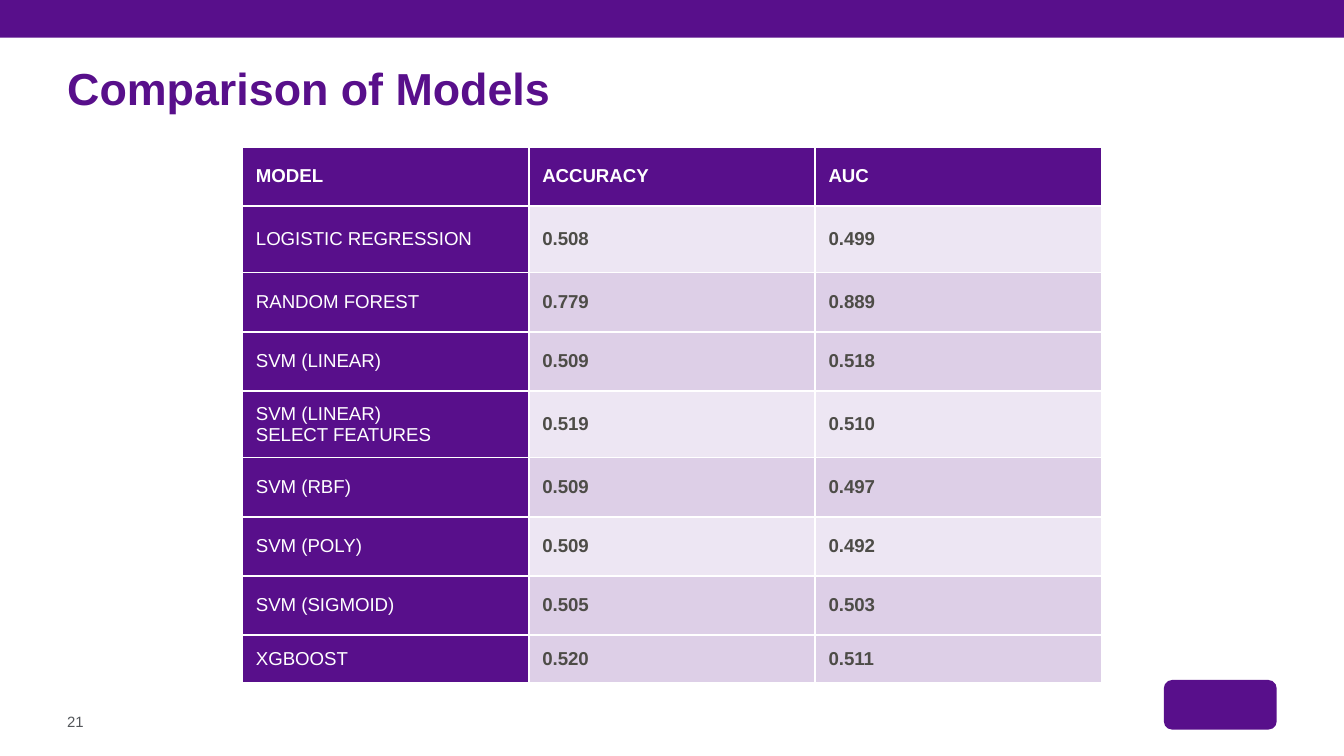
from lxml.etree import SubElement
from pptx import Presentation
from pptx.dml.color import RGBColor as Rgb
from pptx.enum.shapes import MSO_SHAPE as Shape
from pptx.enum.text import MSO_ANCHOR as Anchor
from pptx.oxml import parse_xml
from pptx.oxml.ns import nsdecls, qn
from pptx.util import Pt

COLORS = {"purple": "580F8B", "white": "FFFFFF", "gray": "53565A", "ink": "4D4C47"}
HEADER = ("MODEL", "ACCURACY", "AUC")
COLUMN_WIDTH = 153.4
MODELS = [
    ("LOGISTIC REGRESSION", "0.508", "0.499", 35.7, 10),
    ("RANDOM FOREST", "0.779", "0.889", 31.7, 20),
    ("SVM (LINEAR)", "0.509", "0.518", 31.7, 20),
    ("SVM (LINEAR)\nSELECT FEATURES", "0.519", "0.510", 35.7, 10),
    ("SVM (RBF)", "0.509", "0.497", 31.7, 20),
    ("SVM (POLY)", "0.509", "0.492", 31.7, 10),
    ("SVM (SIGMOID)", "0.505", "0.503", 31.7, 20),
    ("XGBOOST", "0.520", "0.511", 25.4, 20),
]


def write(frame, text, size=10, color="white", bold=False, spacing=None):
    frame.text = text
    for para in frame.paragraphs:
        if spacing:
            para.line_spacing = spacing
        for span in para.runs:
            span.font.name = "Arial"
            span.font.size = Pt(size)
            span.font.bold = bold
            span.font.color.rgb = Rgb.from_string(COLORS[color])


class Painter:
    """Draws styled elements on the current slide."""

    def __init__(self, page):
        self.page = page

    def block(self, left, top, width, height, kind=Shape.RECTANGLE):
        box = self.page.shapes.add_shape(kind, Pt(left), Pt(top), Pt(width), Pt(height))
        box.shadow.inherit = False
        box.fill.solid()
        box.fill.fore_color.rgb = Rgb.from_string(COLORS["purple"])
        box.line.fill.background()

    def label(self, text, left, top, width, height, anchor, **style):
        box = self.page.shapes.add_textbox(Pt(left), Pt(top), Pt(width), Pt(height))
        frame = box.text_frame
        frame.word_wrap = True
        frame.margin_left = frame.margin_right = frame.margin_top = frame.margin_bottom = 0
        frame.vertical_anchor = anchor
        write(frame, text, **style)

    def cell(self, cell, text, opacity=100, **style):
        write(cell.text_frame, text, **style)
        cell.vertical_anchor = Anchor.MIDDLE
        cell.fill.solid()
        cell.fill.fore_color.rgb = Rgb.from_string(COLORS["purple"])
        properties = cell._tc.get_or_add_tcPr()
        if opacity < 100:
            color = properties.find(".//" + qn("a:srgbClr"))
            SubElement(color, qn("a:alpha"), val=str(opacity * 1000))
        for index, side in enumerate(("lnL", "lnR", "lnT", "lnB")):
            properties.insert(index, parse_xml(
                f'<a:{side} {nsdecls("a")} w="{Pt(1)}"><a:solidFill>'
                f'<a:srgbClr val="{COLORS["white"]}"/></a:solidFill></a:{side}>'))

    def table(self, left, top, header, header_height, models):
        heights = [header_height] + [model[3] for model in models]
        table = self.page.shapes.add_table(
            len(heights), len(header), Pt(left), Pt(top),
            Pt(COLUMN_WIDTH * len(header)), Pt(sum(heights))).table
        table.horz_banding = False
        for column in table.columns:
            column.width = Pt(COLUMN_WIDTH)
        for row, height in zip(table.rows, heights):
            row.height = Pt(height)
        for column, text in enumerate(header):
            self.cell(table.cell(0, column), text, bold=True)
        for row, (name, accuracy, auc, _, opacity) in enumerate(models, 1):
            self.cell(table.cell(row, 0), name)
            for column, value in enumerate((accuracy, auc), 1):
                self.cell(table.cell(row, column), value, opacity, color="ink", bold=True)


def main():
    deck = Presentation()
    deck.slide_width, deck.slide_height = Pt(720), Pt(405)
    painter = Painter(deck.slides.add_slide(deck.slide_layouts[6]))
    painter.block(0, 0, 720, 20.2)
    painter.block(623.5, 364.3, 60.5, 26.6, Shape.ROUNDED_RECTANGLE)
    painter.label("21", 36, 381.6, 20, 9.4, Anchor.MIDDLE, size=8, color="gray")
    painter.label("Comparison of Models", 36, 36.7, 648, 24.5, Anchor.BOTTOM,
                  size=24, color="purple", bold=True, spacing=0.85)
    painter.table(129.9, 78.7, HEADER, 31.7, MODELS)
    deck.save("out.pptx")


if __name__ == "__main__":
    main()
